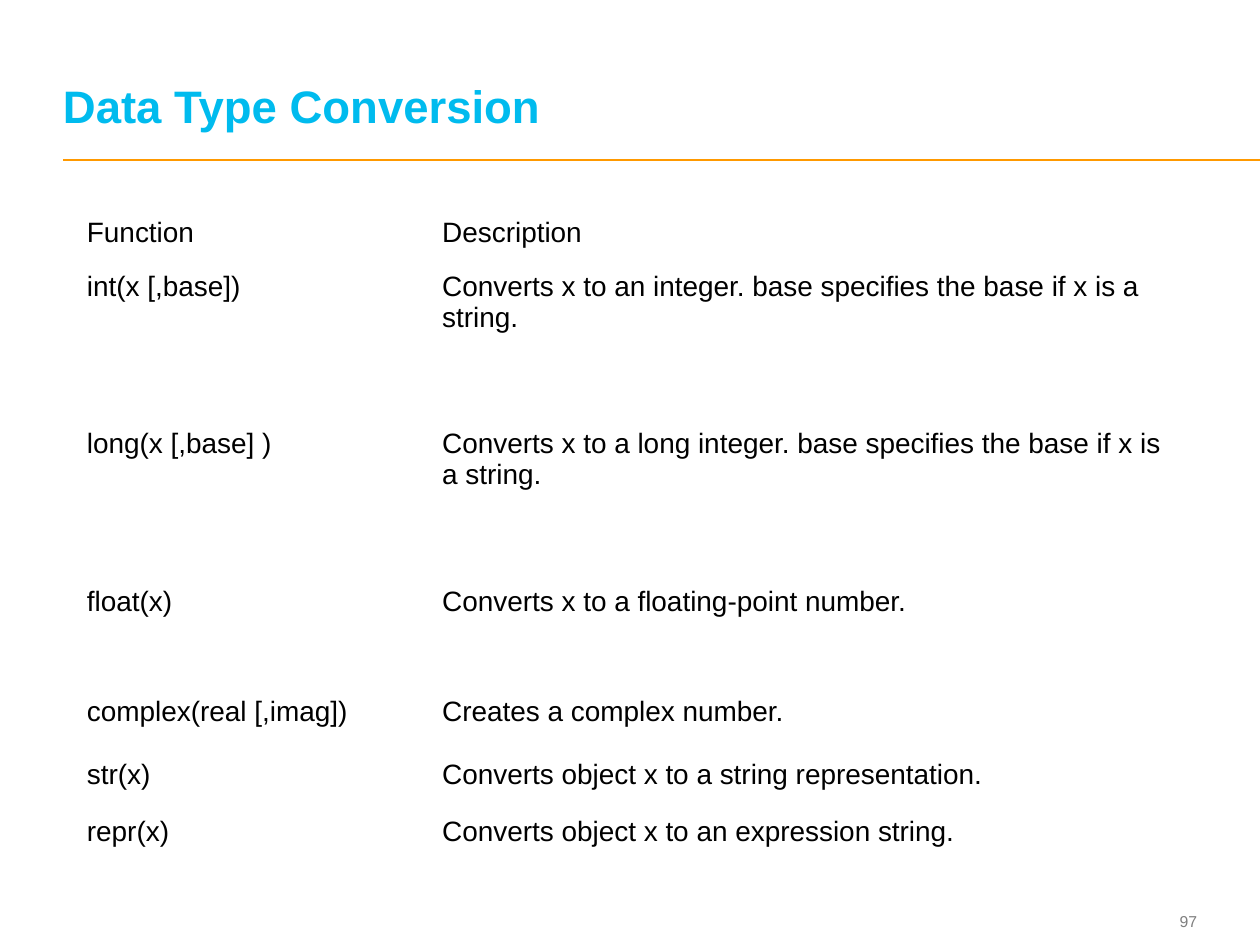
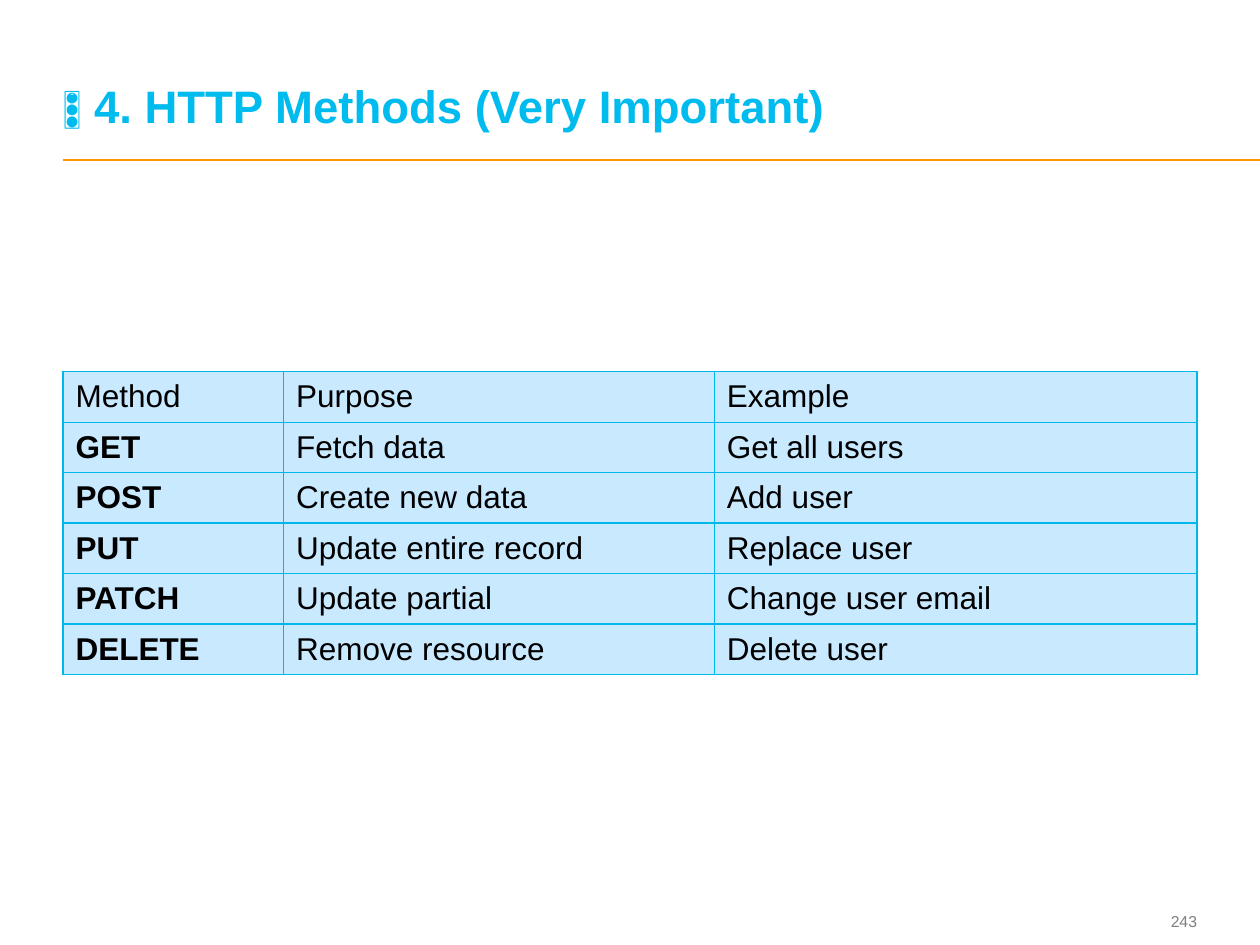
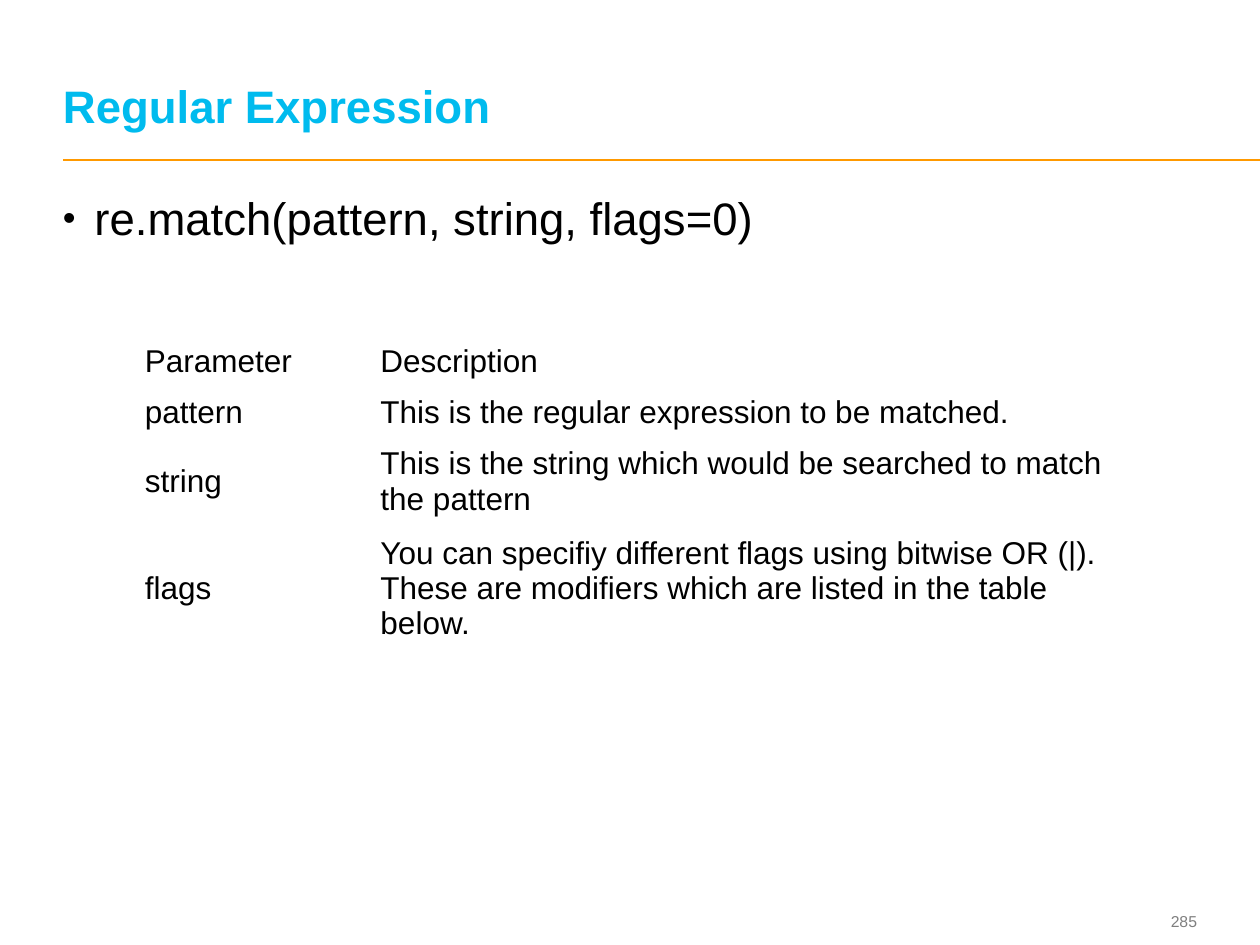
import pptx
import pptx.dml.color
import pptx.enum.shapes
import pptx.enum.text
import pptx.oxml.ns
import pptx.util
from lxml import etree
from pptx.util import Inches

COLORS = {
    "title": "00BBEE",
    "rule": "FF9900",
    "text": "000000",
    "number": "7F7F7F",
    "cell": "C9E9FF",
    "border": "00B7E9",
}
FONT = "Arial"
ANCHOR = pptx.enum.text.MSO_ANCHOR
ALIGN = pptx.enum.text.PP_ALIGN

CONVERSIONS = [
    ("Function", "Description"),
    ("int(x [,base])", "Converts x to an integer. base specifies the base if x is a string."),
    ("long(x [,base] )", "Converts x to a long integer. base specifies the base if x is a string."),
    ("float(x)", "Converts x to a floating-point number."),
    ("complex(real [,imag])", "Creates a complex number."),
    ("str(x)", "Converts object x to a string representation."),
    ("repr(x)", "Converts object x to an expression string."),
]
METHODS = [
    ("Method", "Purpose", "Example"),
    ("GET", "Fetch data", "Get all users"),
    ("POST", "Create new data", "Add user"),
    ("PUT", "Update entire record", "Replace user"),
    ("PATCH", "Update partial", "Change user email"),
    ("DELETE", "Remove resource", "Delete user"),
]
PARAMETERS = [
    ("Parameter", "Description"),
    ("pattern", "This is the regular expression to be matched."),
    ("string", "This is the string which would be searched to match the pattern"),
    ("flags", "You can specifiy different flags using bitwise OR (|). "
              "These are modifiers which are listed in the table below."),
]


def rgb(name):
    return pptx.dml.color.RGBColor.from_string(COLORS[name])


def add_element(parent, tag, **attributes):
    return etree.SubElement(parent, pptx.oxml.ns.qn(tag), attributes)


class Lesson:
    """Holds the shared slide style and the slide being built."""

    def __init__(self):
        self.deck = pptx.Presentation()
        self.deck.slide_width = Inches(10)
        self.deck.slide_height = Inches(7.5)
        self.slide = None

    def page(self, title, number):
        self.slide = self.deck.slides.add_slide(self.deck.slide_layouts[6])
        self.rule()
        box = self.text(title, 0.5, 0.19, 8.97, 0.86, 26, "title", ANCHOR.BOTTOM, bold=True)
        box.text_frame.paragraphs[0].line_spacing = pptx.util.Pt(26)
        box = self.text(str(number), 8.91, 7.18, 0.59, 0.27, 9, "number", ANCHOR.MIDDLE)
        box.text_frame.paragraphs[0].alignment = ALIGN.RIGHT

    def rule(self):
        line = self.slide.shapes.add_connector(
            pptx.enum.shapes.MSO_CONNECTOR.STRAIGHT,
            Inches(0.5), Inches(1.27), Inches(10), Inches(1.27))
        line.line.color.rgb = rgb("rule")
        line.line.width = pptx.util.Pt(1)
        add_element(line.element.spPr, "a:effectLst")

    def style(self, paragraph, size, color="text", bold=False):
        for span in paragraph.runs:
            span.font.name = FONT
            span.font.size = pptx.util.Pt(size)
            span.font.bold = bold
            span.font.color.rgb = rgb(color)

    def text(self, words, left, top, width, height, size, color="text",
             anchor=ANCHOR.TOP, bold=False):
        box = self.slide.shapes.add_textbox(
            Inches(left), Inches(top), Inches(width), Inches(height))
        frame = box.text_frame
        frame.word_wrap = True
        frame.vertical_anchor = anchor
        frame.margin_left = frame.margin_right = frame.margin_top = frame.margin_bottom = 0
        frame.text = words
        self.style(frame.paragraphs[0], size, color, bold)
        return box

    def bullet(self, words):
        box = self.text(words, 0.5, 1.51, 9, 5.28, 26)
        properties = box.text_frame.paragraphs[0]._p.get_or_add_pPr()
        indent = Inches(0.25)
        properties.set("marL", str(indent))
        properties.set("indent", str(-indent))
        color = add_element(properties, "a:buClr")
        add_element(color, "a:srgbClr", val=COLORS["text"])
        add_element(properties, "a:buSzPct", val="80000")
        add_element(properties, "a:buFont", typeface=FONT)
        add_element(properties, "a:buChar", char="•")

    def border(self, cell):
        properties = cell._tc.get_or_add_tcPr()
        for side in ("a:lnL", "a:lnR", "a:lnT", "a:lnB"):
            line = add_element(properties, side, w=str(pptx.util.Pt(0.75)))
            fill = add_element(line, "a:solidFill")
            add_element(fill, "a:srgbClr", val=COLORS["border"])

    def table(self, rows, left, top, widths, heights, size, margin=0.1,
              middle=True, grid=False):
        table = self.slide.shapes.add_table(
            len(rows), len(widths), Inches(left), Inches(top),
            Inches(sum(widths)), Inches(sum(heights))).table
        table.first_row = table.horz_banding = False
        for column, width in zip(table.columns, widths):
            column.width = Inches(width)
        for row_index, (row, height, words) in enumerate(zip(table.rows, heights, rows)):
            row.height = Inches(height)
            header = row_index == 0
            for column_index, (cell, content) in enumerate(zip(row.cells, words)):
                cell.margin_left = cell.margin_right = Inches(margin)
                cell.vertical_anchor = ANCHOR.MIDDLE if middle or header else ANCHOR.TOP
                cell.text = content
                bold = grid and column_index == 0 and not header
                self.style(cell.text_frame.paragraphs[0], size, bold=bold)
                if grid:
                    self.border(cell)
                    cell.fill.solid()
                    cell.fill.fore_color.rgb = rgb("cell")
                else:
                    cell.fill.background()


def main():
    lesson = Lesson()

    lesson.page("Data Type Conversion", 97)
    lesson.table(CONVERSIONS, 0.6, 1.6, [2.82, 5.92],
                 [0.5, 1.25, 1.25, 0.88, 0.5, 0.45, 0.88], 16, margin=0.09, middle=False)

    lesson.page("🚦 4. HTTP Methods (Very Important)", 243)
    lesson.table(METHODS, 0.5, 2.95, [1.75, 3.42, 3.83],
                 [0.38] * len(METHODS), 18, grid=True)

    lesson.page("Regular Expression", 285)
    lesson.bullet("re.match(pattern, string, flags=0)")
    lesson.table(PARAMETERS, 1.05, 2.67, [1.87, 6.07], [0.38, 0.38, 0.66, 0.94], 18)

    lesson.deck.save("out.pptx")


if __name__ == "__main__":
    main()
